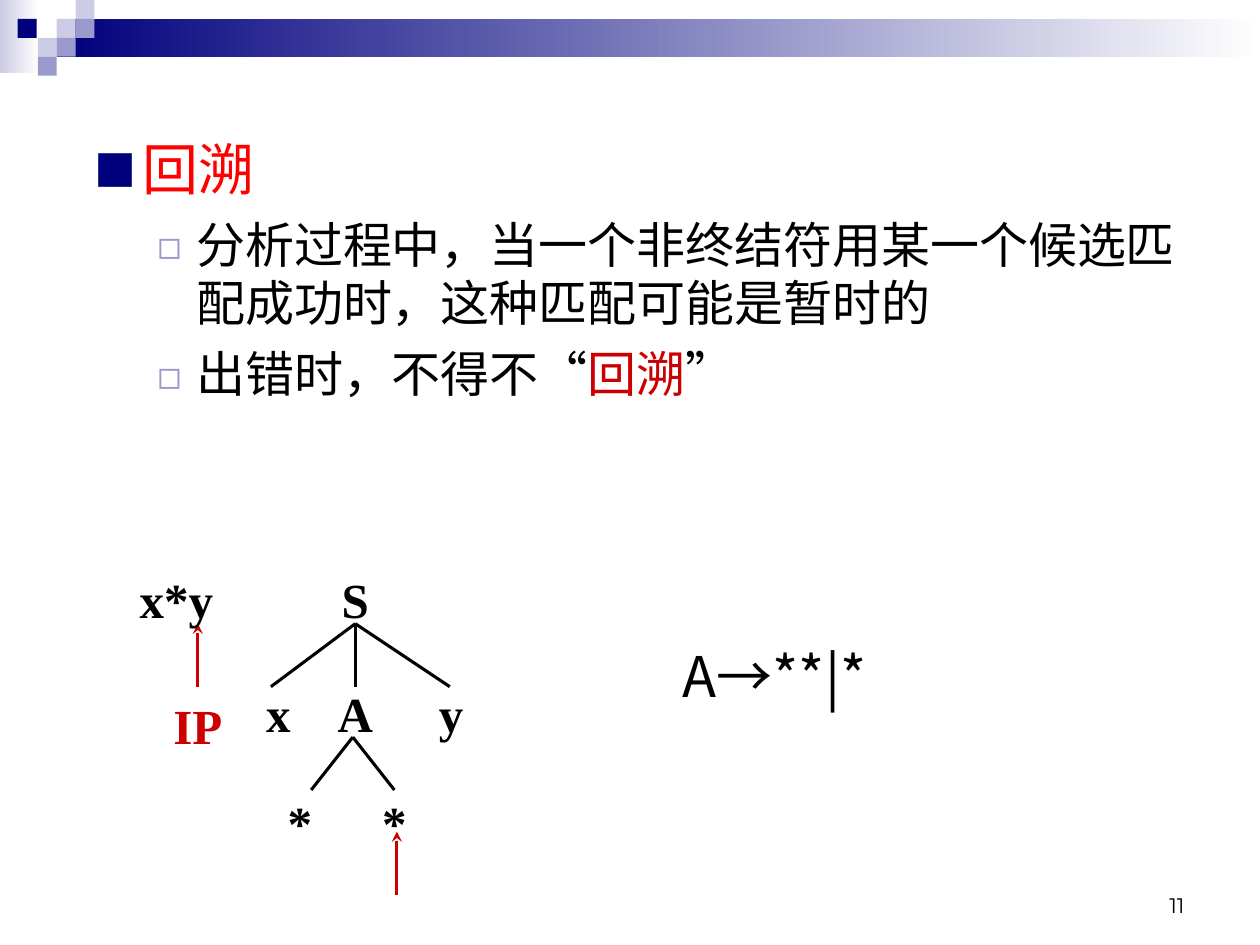
from dataclasses import dataclass

from lxml import etree
from pptx import Presentation
from pptx.dml.color import RGBColor
from pptx.enum.shapes import MSO_CONNECTOR, MSO_SHAPE
from pptx.enum.text import MSO_ANCHOR, PP_ALIGN
from pptx.oxml.ns import qn
from pptx.util import Inches, Pt

RECTANGLE = MSO_SHAPE.RECTANGLE
STRAIGHT = MSO_CONNECTOR.STRAIGHT
TOP, MIDDLE, BOTTOM = MSO_ANCHOR.TOP, MSO_ANCHOR.MIDDLE, MSO_ANCHOR.BOTTOM
LEFT, CENTER, RIGHT = PP_ALIGN.LEFT, PP_ALIGN.CENTER, PP_ALIGN.RIGHT


@dataclass(frozen=True)
class Theme:
    navy: str = "00007D"
    lilac: str = "9999CC"
    pale: str = "CCCCE6"
    white: str = "FFFFFF"
    black: str = "000000"
    red: str = "FF0000"
    dark_red: str = "CC0000"
    chinese: str = "Noto Sans CJK SC"
    serif: str = "Times New Roman"
    number: str = "Montserrat"
    heading_size: int = 32
    text_size: int = 28
    number_size: int = 12
    line_width: float = 1.75
    leading: float = 1.2


THEME = Theme()


def rgb(color):
    return RGBColor.from_string(color)


def add_block(page, left, top, width, height, color, fade_to=None):
    block = page.shapes.add_shape(
        RECTANGLE, Inches(left), Inches(top), Inches(width), Inches(height))
    block.shadow.inherit = False
    block.line.fill.background()
    if fade_to:
        block.fill.gradient()
        block.fill.gradient_angle = 0
        for stop, shade in zip(block.fill.gradient_stops, (color, fade_to)):
            stop.color.rgb = rgb(shade)
    else:
        block.fill.solid()
        block.fill.fore_color.rgb = rgb(color)


def add_frame(page, left, top, width, height, anchor=TOP, wrap=False):
    box = page.shapes.add_textbox(
        Inches(left), Inches(top), Inches(width), Inches(height))
    frame = box.text_frame
    frame.word_wrap = wrap
    frame.vertical_anchor = anchor
    return frame


def style_font(font, name, size, color, bold=False):
    font.name, font.size, font.bold = name, Pt(size), bold
    font.color.rgb = rgb(color)


def set_chinese(para, size):
    """Give the runs the East Asian typeface and the paragraph its leading."""
    para.line_spacing = Pt(size * THEME.leading)
    for span in para.runs:
        properties = span.font._element
        etree.SubElement(properties, qn("a:ea"), typeface=THEME.chinese)


def add_bullet(para, mark, color, percent, margin, indent):
    properties = para._p.get_or_add_pPr()
    properties.set("marL", str(Inches(margin)))
    properties.set("indent", str(Inches(indent)))
    bullet_color = etree.SubElement(properties, qn("a:buClr"))
    etree.SubElement(bullet_color, qn("a:srgbClr"), val=color)
    etree.SubElement(properties, qn("a:buSzPct"), val=str(percent * 1000))
    etree.SubElement(properties, qn("a:buFont"), typeface=THEME.chinese)
    etree.SubElement(properties, qn("a:buChar"), char=mark)


def add_item(para, spans, level, size, color):
    """Fill one bulleted paragraph; spans are (text, own colour or None)."""
    if level:
        para.level = level
        add_bullet(para, "◻", THEME.lilac, 80, 0.81, -0.31)
        para.space_before = Pt(7)
    else:
        add_bullet(para, "■", THEME.navy, 75, 0.38, -0.38)
    style_font(para.font, THEME.chinese, size, color)
    for text, own_color in spans:
        span = para.add_run()
        span.text = text
        style_font(span.font, THEME.chinese, size, own_color or color)
    set_chinese(para, size)


def add_line(page, start, end, color, arrow=False):
    line = page.shapes.add_connector(
        STRAIGHT, *(Inches(value) for value in (*start, *end)))
    line.line.color.rgb = rgb(color)
    line.line.width = Pt(THEME.line_width)
    if arrow:
        outline = line.line._get_or_add_ln()
        etree.SubElement(outline, qn("a:tailEnd"), type="stealth")
    etree.SubElement(line._element.spPr, qn("a:effectLst"))


def add_label(page, text, center_x, center_y, color):
    width, height = 0.83, 0.5
    frame = add_frame(page, center_x - width / 2, center_y - height / 2,
                      width, height, MIDDLE)
    para = frame.paragraphs[0]
    para.text = text
    para.alignment = CENTER
    style_font(para.font, THEME.serif, THEME.text_size, color, bold=True)


def add_header(page):
    add_block(page, 0, 0, 0.31, 0.58, THEME.pale, THEME.white)
    add_block(page, 0.45, 0.15, 9.55, 0.3, THEME.navy, THEME.white)
    # Checker squares
    side = 0.15
    squares = [(0.45, 0.15, THEME.pale), (0.6, 0, THEME.pale),
               (0.6, 0.15, THEME.lilac), (0.3, 0.3, THEME.pale),
               (0.14, 0.15, THEME.navy), (0.45, 0.3, THEME.lilac),
               (0.3, 0.45, THEME.lilac)]
    for left, top, color in squares:
        add_block(page, left, top, side, side, color)


def add_body(page):
    frame = add_frame(page, 0.65, 1.02, 9, 5.5, wrap=True)
    items = [
        (0, THEME.heading_size, THEME.red, [("回溯", None)]),
        (1, THEME.text_size, THEME.black,
         [("分析过程中，当一个非终结符用某一个候选匹配成功时，这种匹配可能是暂时的", None)]),
        (1, THEME.text_size, THEME.black,
         [("出错时，不得不“", None), ("回溯", THEME.dark_red), ("”", None)]),
    ]
    for index, (level, size, color, spans) in enumerate(items):
        para = frame.add_paragraph() if index else frame.paragraphs[0]
        add_item(para, spans, level, size, color)


def add_parse_tree(page):
    # Branches from each parent to its children
    branches = [((2.82, 4.95), 5.45, (2.15, 2.82, 3.57)),
                ((2.8, 5.85), 6.27, (2.47, 3.13))]
    for parent, child_y, children in branches:
        for child_x in children:
            add_line(page, parent, (child_x, child_y), THEME.black)
    # Input pointers
    for x, tip in ((1.57, 4.95), (3.15, 6.6)):
        add_line(page, (x, tip + 0.5), (x, tip), THEME.dark_red, arrow=True)
    # Symbols
    labels = [("x*y", 1.4, 4.75), ("S", 2.82, 4.75),
              ("x", 2.21, 5.66), ("A", 2.82, 5.66), ("y", 3.58, 5.66),
              ("*", 2.38, 6.52), ("*", 3.13, 6.52)]
    for text, x, y in labels:
        add_label(page, text, x, y, THEME.black)
    add_label(page, "IP", 1.57, 5.75, THEME.dark_red)


def add_rule(page):
    para = add_frame(page, 5.32, 5.04, 1.84, 0.64).paragraphs[0]
    para.text = "A→**|*"
    para.alignment = LEFT
    style_font(para.font, THEME.chinese, THEME.heading_size, THEME.black)
    set_chinese(para, THEME.heading_size)


def add_page_number(page):
    para = add_frame(page, 7.17, 6.83, 2.33, 0.5, BOTTOM, wrap=True).paragraphs[0]
    para.text = "11"
    para.alignment = RIGHT
    style_font(para.font, THEME.number, THEME.number_size, THEME.black)


def main():
    deck = Presentation()
    deck.slide_width, deck.slide_height = Inches(10), Inches(7.5)
    page = deck.slides.add_slide(deck.slide_layouts[6])
    add_header(page)
    add_page_number(page)
    add_body(page)
    add_parse_tree(page)
    add_rule(page)
    deck.save("out.pptx")


if __name__ == "__main__":
    main()
